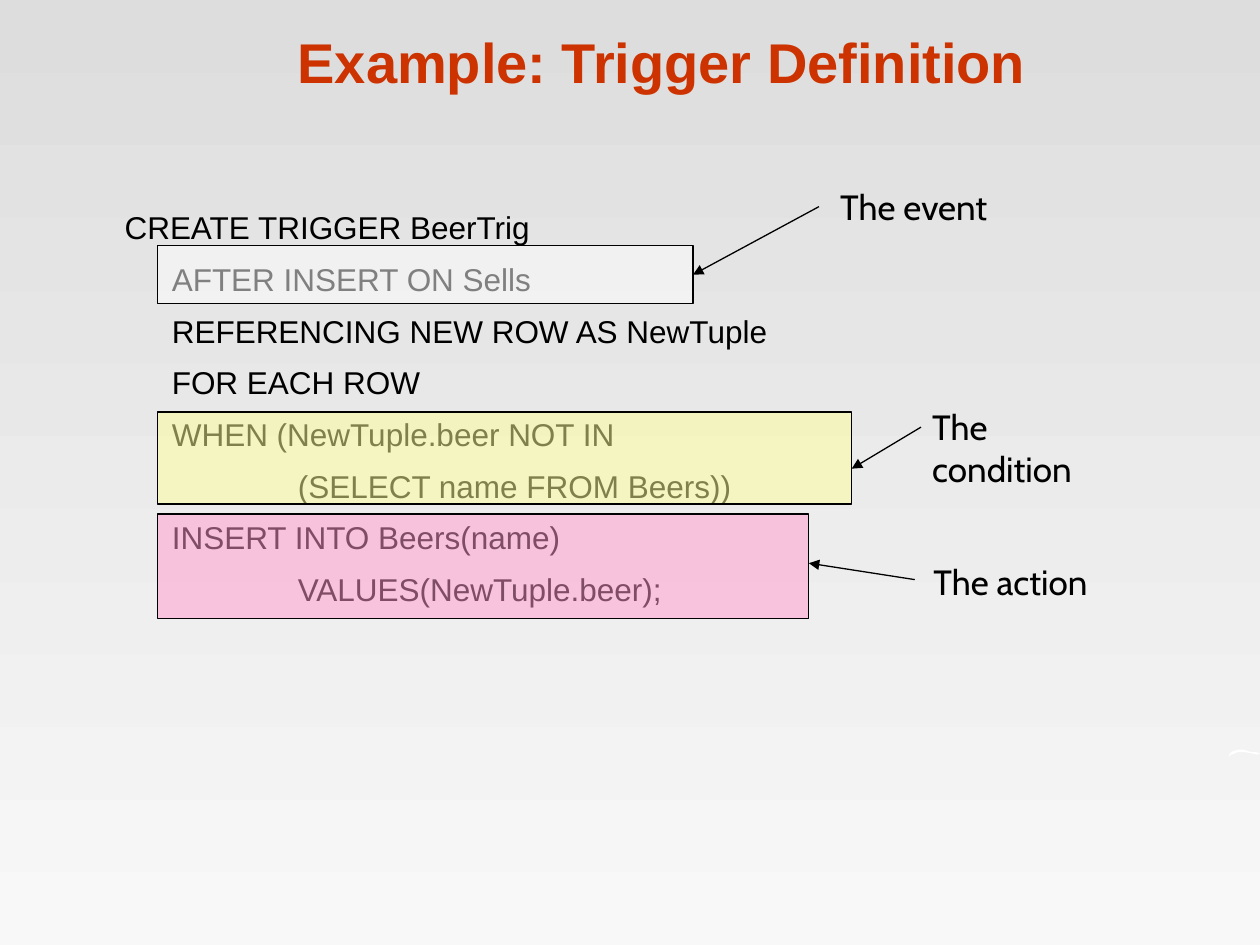
from dataclasses import dataclass
from typing import Optional

from lxml import etree
from pptx import Presentation, util as u
from pptx.dml.color import RGBColor
from pptx.enum import shapes, text
from pptx.oxml.ns import qn


@dataclass(frozen=True)
class Theme:
    background: tuple = ("DDDDDD", "F8F8F8")
    title: str = "CC3300"
    ink: str = "000000"
    white: str = "FFFFFF"
    condition: str = "FFFF99"
    action: str = "FF99CC"
    code_font: str = "Arial"
    label_font: str = "Cabin"
    title_size: float = 32
    code_size: float = 18
    label_size: float = 20
    line_gap: float = 7.9
    outline: float = 0.75
    opacity: int = 50


@dataclass(frozen=True)
class Area:
    """A place on the grid, in columns and rows."""
    column: float
    row: float
    columns: float
    rows: float


@dataclass(frozen=True)
class CodeLine:
    words: str
    level: int


@dataclass(frozen=True)
class Callout:
    words: str
    color: str
    box: Area
    label: Area
    start: tuple
    end_row: Optional[float] = None  # None joins the middle of the right side
    wrap: bool = True


THEME = Theme()
COLUMNS, ROWS = 100, 75
INDENTS = (0, 3.75, 13.75)  # columns, by code level

CODE = (
    CodeLine("CREATE TRIGGER BeerTrig", 0),
    CodeLine("AFTER INSERT ON Sells", 1),
    CodeLine("REFERENCING NEW ROW AS NewTuple", 1),
    CodeLine("FOR EACH ROW", 1),
    CodeLine("WHEN (NewTuple.beer NOT IN", 1),
    CodeLine("(SELECT name FROM Beers))", 2),
    CodeLine("INSERT INTO Beers(name)", 1),
    CodeLine("VALUES(NewTuple.beer);", 2),
)

CALLOUTS = (
    Callout("The event", THEME.white, Area(12.5, 19.5, 42.5, 4.6),
            Area(65.7, 14.2, 14.3, 7.7), (65, 16.4)),
    Callout("The condition", THEME.condition, Area(12.5, 32.7, 55.1, 7.3),
            Area(73, 31.7, 17.9, 7.7), (73.1, 33.9), 37.2),
    Callout("The action", THEME.action, Area(12.5, 40.8, 51.7, 8.3),
            Area(73.1, 44, 15.6, 4.4), (72.6, 46), 44.7, wrap=False),
)

# White sliver at the right edge, in tenths of a column and row
SLIVER = ((975, 601), (976, 598), (979, 596), (983, 595), (987, 595),
          (993, 597), (997, 597), (1000, 598), (998, 599), (994, 598),
          (988, 597), (982, 597), (980, 598), (977, 599))

presentation = Presentation()
presentation.slide_width = u.Inches(10)
presentation.slide_height = u.Inches(7.5)


def across(columns: float) -> int:
    return round(presentation.slide_width * columns / COLUMNS)


def down(rows: float) -> int:
    return round(presentation.slide_height * rows / ROWS)


def place(area: Area) -> tuple:
    return across(area.column), down(area.row), across(area.columns), down(area.rows)


def add_run(paragraph, words: str, font: str, size: float, color: str, bold: bool = False) -> None:
    run = paragraph.add_run()
    run.text = words
    run.font.name = font
    run.font.size = u.Pt(size)
    run.font.bold = bold
    run.font.color.rgb = RGBColor.from_string(color)


def add_frame(parent, area: Area, wrap: bool = True):
    frame = parent.add_textbox(*place(area)).text_frame
    frame.word_wrap = wrap
    return frame


def paint_background(slide) -> None:
    fill = slide.background.fill
    fill.gradient()
    fill.gradient_angle = 270
    for stop, position, color in zip(fill.gradient_stops, (0, 1), THEME.background):
        stop.position = position
        stop.color.rgb = RGBColor.from_string(color)


def add_sliver(slide) -> None:
    builder = slide.shapes.build_freeform(*SLIVER[0], scale=across(0.1))
    builder.add_line_segments(SLIVER[1:], close=True)
    shape = builder.convert_to_shape()
    shape.shadow.inherit = False
    shape.fill.solid()
    shape.fill.fore_color.rgb = RGBColor.from_string(THEME.white)
    shape.line.fill.background()


def add_title(slide, words: str) -> None:
    frame = add_frame(slide.shapes, Area(8.4, 1.3, 88.3, 6.7))
    frame.vertical_anchor = text.MSO_ANCHOR.BOTTOM
    paragraph = frame.paragraphs[0]
    paragraph.alignment = text.PP_ALIGN.CENTER
    add_run(paragraph, words, THEME.code_font, THEME.title_size, THEME.title, True)


def add_code(slide) -> None:
    frame = add_frame(slide.shapes, Area(8.9, 12, 83.8, 53.6))
    frame.margin_top = down(4.55)
    for number, line in enumerate(CODE):
        paragraph = frame.add_paragraph() if number else frame.paragraphs[0]
        paragraph.space_before = u.Pt(THEME.line_gap if number else 0)
        properties = paragraph._p.get_or_add_pPr()
        properties.set("marL", str(across(INDENTS[line.level])))
        properties.set("indent", "0")
        add_run(paragraph, line.words, THEME.code_font, THEME.code_size, THEME.ink)


def add_box(parent, area: Area, color: str):
    box = parent.add_shape(shapes.MSO_SHAPE.RECTANGLE, *place(area))
    box.shadow.inherit = False
    box.fill.solid()
    box.fill.fore_color.rgb = RGBColor.from_string(color)
    tint = box._element.spPr.find(qn("a:solidFill"))[0]
    etree.SubElement(tint, qn("a:alpha")).set("val", str(THEME.opacity * 1000))
    box.line.color.rgb = RGBColor.from_string(THEME.ink)
    box.line.width = u.Pt(THEME.outline)
    return box


def add_arrow(parent, callout: Callout, box) -> None:
    area = callout.box
    joined = callout.end_row is None
    end_row = area.row + area.rows / 2 if joined else callout.end_row
    arrow = parent.add_connector(
        shapes.MSO_CONNECTOR.STRAIGHT, across(callout.start[0]), down(callout.start[1]),
        across(area.column + area.columns), down(end_row))
    if joined:
        arrow.end_connect(box, 3)
    arrow.line.color.rgb = RGBColor.from_string(THEME.ink)
    arrow.line.width = u.Pt(THEME.outline)
    etree.SubElement(arrow.line._get_or_add_ln(), qn("a:tailEnd")).set("type", "triangle")
    etree.SubElement(arrow._element.spPr, qn("a:effectLst"))


def add_callout(slide, callout: Callout) -> None:
    parent = slide.shapes.add_group_shape().shapes
    box = add_box(parent, callout.box, callout.color)
    frame = add_frame(parent, callout.label, callout.wrap)
    add_run(frame.paragraphs[0], callout.words, THEME.label_font, THEME.label_size, THEME.ink)
    add_arrow(parent, callout, box)


def main() -> None:
    slide = presentation.slides.add_slide(presentation.slide_layouts[6])
    # Backdrop
    paint_background(slide)
    add_sliver(slide)
    # Title and trigger code
    add_title(slide, "Example: Trigger Definition")
    add_code(slide)
    # Highlighted parts with their labels
    for callout in CALLOUTS:
        add_callout(slide, callout)
    presentation.save("out.pptx")


if __name__ == "__main__":
    main()
